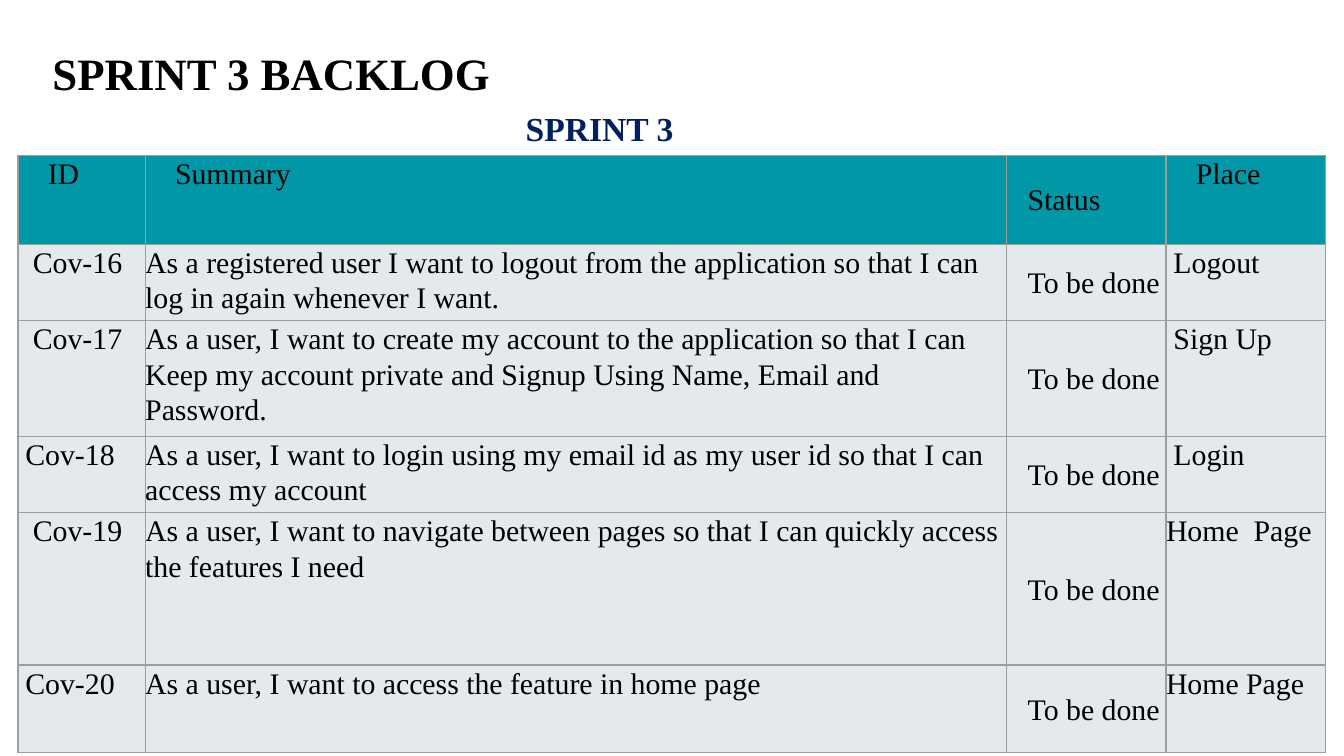
import pptx
import pptx.dml.color
import pptx.enum.text
import pptx.oxml
import pptx.oxml.ns
import pptx.util

Pt = pptx.util.Pt
COLORS = {
    "background": "FFFFFF",
    "text": "000000",
    "subtitle": "002060",
    "header": "0097A7",
    "body": "E4E9EB",
    "border": "9E9E9E",
}
FONT = "Times New Roman"
COLUMN_WIDTHS = [68.2, 461.3, 85.6, 85.6]
ROW_HEIGHTS = [47.6, 41.1, 61.8, 41.1, 81.6, 46.8]
STATUS_COLUMN = 2
STATUS_INDENT = 11.5
HEADER_INDENT = 16
SPACE_WIDTH = 4

HEADERS = ["ID", "Summary", "Status", "Place"]
STORIES = [
    ("Cov-16", 2, "As a registered user I want to logout from the application so that "
     "I can log in again whenever I want.", "Logout", 1),
    ("Cov-17", 2, "As a user, I want to create my account to the application so that "
     "I can Keep my account private and Signup Using Name, Email and Password.", "Sign Up", 1),
    ("Cov-18", 1, "As a user, I want to login using my email id as my user id so that "
     "I can access my account", "Login", 1),
    ("Cov-19", 2, "As a user, I want to navigate between pages so that I can quickly "
     "access the features I need", "Home  Page", 0),
    ("Cov-20", 1, "As a user, I want to access the feature in home page", "Home Page", 0),
]


def rgb(name):
    return pptx.dml.color.RGBColor.from_string(COLORS[name])


def style_font(paragraph, size, color, bold=False):
    paragraph.font.name = FONT
    paragraph.font.size = Pt(size)
    paragraph.font.bold = bold
    paragraph.font.color.rgb = rgb(color)


def add_heading(slide, box, text, size, color):
    shape = slide.shapes.add_textbox(*(Pt(length) for length in box))
    shape.text_frame.word_wrap = True
    paragraph = shape.text_frame.paragraphs[0]
    paragraph.text = text
    style_font(paragraph, size, color, bold=True)


def set_borders(cell):
    properties = cell._tc.get_or_add_tcPr()
    namespace = pptx.oxml.ns.nsdecls("a")
    for position, side in enumerate(("lnL", "lnR", "lnT", "lnB")):
        line = pptx.oxml.parse_xml(
            f'<a:{side} {namespace} w="{Pt(0.75)}"><a:solidFill>'
            f'<a:srgbClr val="{COLORS["border"]}"/></a:solidFill></a:{side}>'
        )
        properties.insert(position, line)


def fill_cell(cell, text, indent, fill, centered):
    cell.margin_left = Pt(indent)
    cell.margin_right = cell.margin_top = cell.margin_bottom = 0
    if centered:
        cell.vertical_anchor = pptx.enum.text.MSO_ANCHOR.MIDDLE
    cell.fill.solid()
    cell.fill.fore_color.rgb = rgb(fill)
    set_borders(cell)
    paragraph = cell.text_frame.paragraphs[0]
    paragraph.text = text
    paragraph.line_spacing = 1.07
    paragraph.space_after = Pt(8)
    style_font(paragraph, 16, "text")


def add_backlog_table(slide, left, top):
    shape = slide.shapes.add_table(
        len(ROW_HEIGHTS), len(COLUMN_WIDTHS),
        Pt(left), Pt(top), Pt(sum(COLUMN_WIDTHS)), Pt(sum(ROW_HEIGHTS)),
    )
    table = shape.table
    for column, width in zip(table.columns, COLUMN_WIDTHS):
        column.width = Pt(width)
    for row, height in zip(table.rows, ROW_HEIGHTS):
        row.height = Pt(height)

    rows = [[(header, HEADER_INDENT) for header in HEADERS]]
    for story_id, id_spaces, summary, place, place_spaces in STORIES:
        rows.append([
            (story_id, id_spaces * SPACE_WIDTH),
            (summary, 0),
            ("To be done", STATUS_INDENT),
            (place, place_spaces * SPACE_WIDTH),
        ])
    for row_index, row in enumerate(rows):
        fill = "body" if row_index else "header"
        for column_index, (text, indent) in enumerate(row):
            is_status = column_index == STATUS_COLUMN
            fill_cell(table.cell(row_index, column_index), text,
                      STATUS_INDENT if is_status else indent, fill, is_status)


def main():
    presentation = pptx.Presentation()
    presentation.slide_width = Pt(720)
    presentation.slide_height = Pt(405)
    slide = presentation.slides.add_slide(presentation.slide_layouts[6])
    slide.background.fill.solid()
    slide.background.fill.fore_color.rgb = rgb("background")
    add_heading(slide, (21, 21, 286.5, 45), "SPRINT 3 BACKLOG", 24, "text")
    add_heading(slide, (274.5, 54, 361, 29), "SPRINT 3", 18, "subtitle")
    add_backlog_table(slide, 9.6, 83.2)
    presentation.save("out.pptx")


if __name__ == "__main__":
    main()
